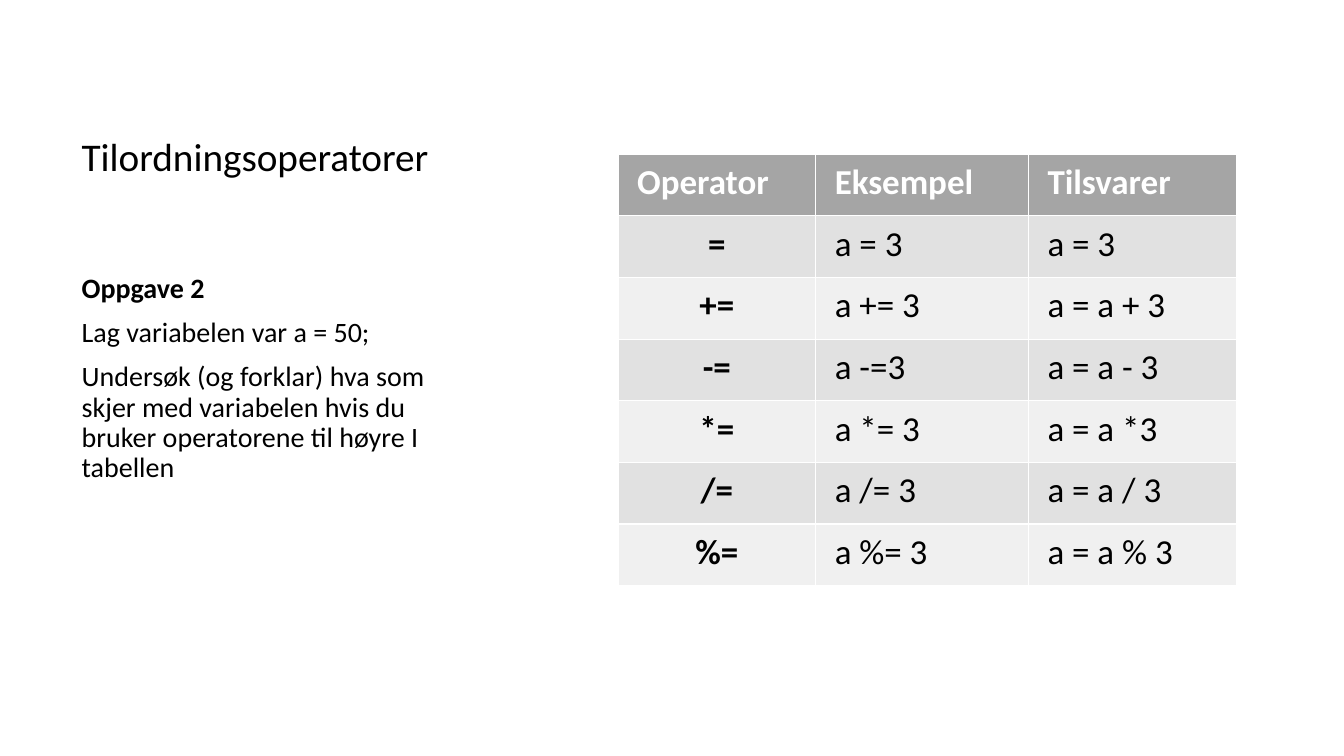
from lxml import etree
from pptx import Presentation
from pptx.dml.color import RGBColor
from pptx.enum.text import MSO_ANCHOR, MSO_AUTO_SIZE, PP_ALIGN
from pptx.oxml.ns import qn
from pptx.util import Inches, Pt

COLORS = {
    "text": "000000",
    "header_text": "FFFFFF",
    "header": "A5A5A5",
    "odd": "E1E1E1",
    "even": "F0F0F0",
}


def add_text(p, text, size, color="text", bold=False, align=PP_ALIGN.LEFT, spacing=None, before=None):
    p.alignment = align
    p.line_spacing = spacing
    if before is not None:
        p.space_before = Pt(before)
    r = p.add_run()
    r.text = text
    r.font.name = "Calibri"
    r.font.size = Pt(size)
    r.font.bold = bold
    r.font.color.rgb = RGBColor.from_string(COLORS[color])


prs = Presentation()
prs.slide_width = Inches(13.33)
prs.slide_height = Inches(7.5)
s = prs.slides.add_slide(prs.slide_layouts[1])

title = s.shapes.title
body = s.placeholders[1]
for sp, top, height, anchor in [
    (title, 0.69, 1.77, MSO_ANCHOR.MIDDLE),
    (body, 2.67, 4.14, MSO_ANCHOR.TOP),
]:
    sp.left, sp.top = Inches(0.71), Inches(top)
    sp.width, sp.height = Inches(3.83), Inches(height)
    tf = sp.text_frame
    tf.word_wrap = True
    tf.auto_size = MSO_AUTO_SIZE.NONE
    tf.vertical_anchor = anchor

add_text(title.text_frame.paragraphs[0], "Tilordningsoperatorer", 28, spacing=0.9)

task = [
    "Oppgave 2",
    "Lag variabelen var a = 50;",
    "Undersøk (og forklar) hva som skjer med variabelen hvis du bruker operatorene til høyre I tabellen",
]
tf = body.text_frame
for i, text in enumerate(task):
    p = tf.add_paragraph() if i else tf.paragraphs[0]
    add_text(p, text, 20, bold=i == 0, spacing=0.9, before=10)
    pPr = p._p.get_or_add_pPr()
    pPr.set("marL", "0")
    pPr.set("indent", "0")
    etree.SubElement(pPr, qn("a:buNone"))

rows = [
    ("Operator", "Eksempel", "Tilsvarer"),
    ("=", "a = 3", "a = 3"),
    ("+=", "a += 3", "a = a + 3"),
    ("-=", "a -=3", "a = a - 3"),
    ("*=", "a *= 3", "a = a *3"),
    ("/=", "a /= 3", "a = a / 3"),
    ("%=", "a %= 3", "a = a % 3"),
]
widths = [1.96, 2.11, 2.07]
table = s.shapes.add_table(
    len(rows), len(widths), Inches(6.13), Inches(1.53), Inches(sum(widths)), Inches(4.28)
).table
for column, width in zip(table.columns, widths):
    column.width = Inches(width)

for i, row in enumerate(rows):
    header = i == 0
    fill = "header" if header else "odd" if i % 2 else "even"
    for j, text in enumerate(row):
        cell = table.cell(i, j)
        cell.margin_left = cell.margin_right = Inches(0.19)
        cell.margin_top = cell.margin_bottom = Inches(0.07)
        cell.fill.solid()
        cell.fill.fore_color.rgb = RGBColor.from_string(COLORS[fill])
        add_text(
            cell.text_frame.paragraphs[0],
            text,
            25,
            color="header_text" if header else "text",
            bold=header or j == 0,
            align=PP_ALIGN.CENTER if j == 0 and not header else PP_ALIGN.LEFT,
        )

prs.save("out.pptx")
